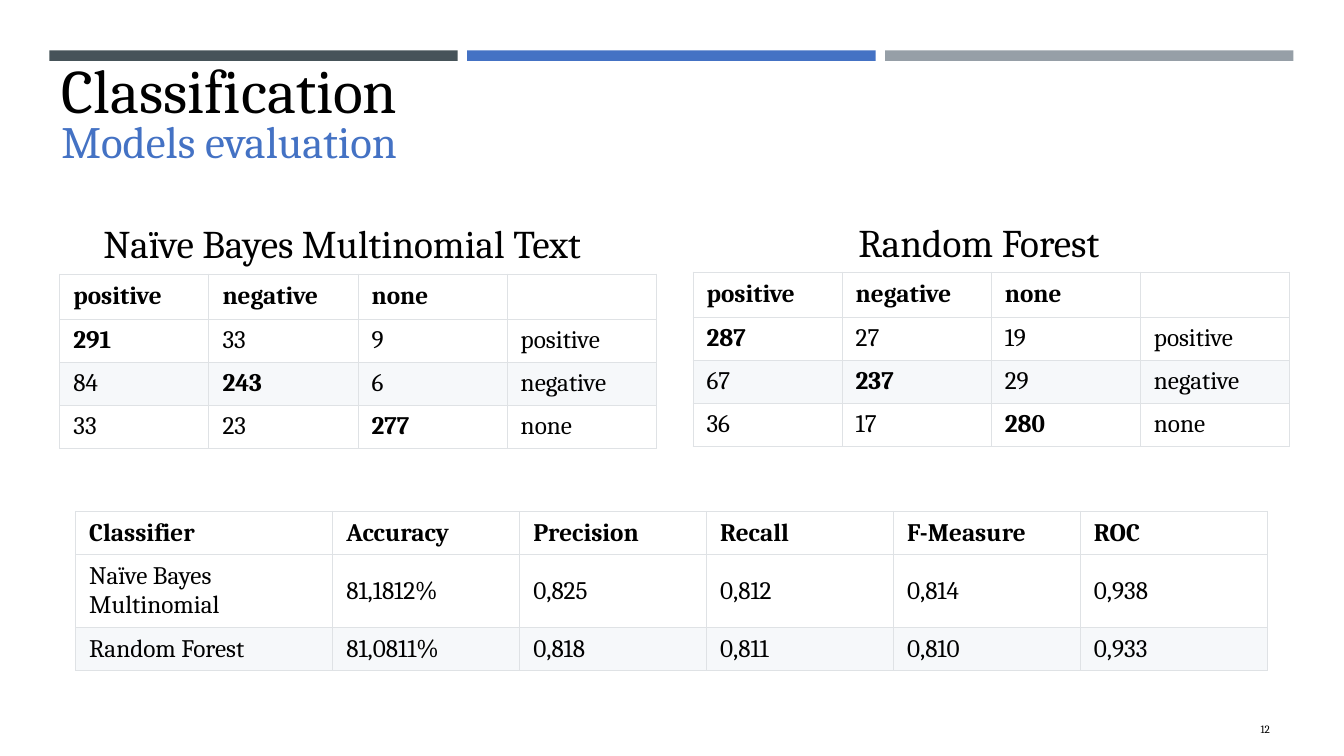
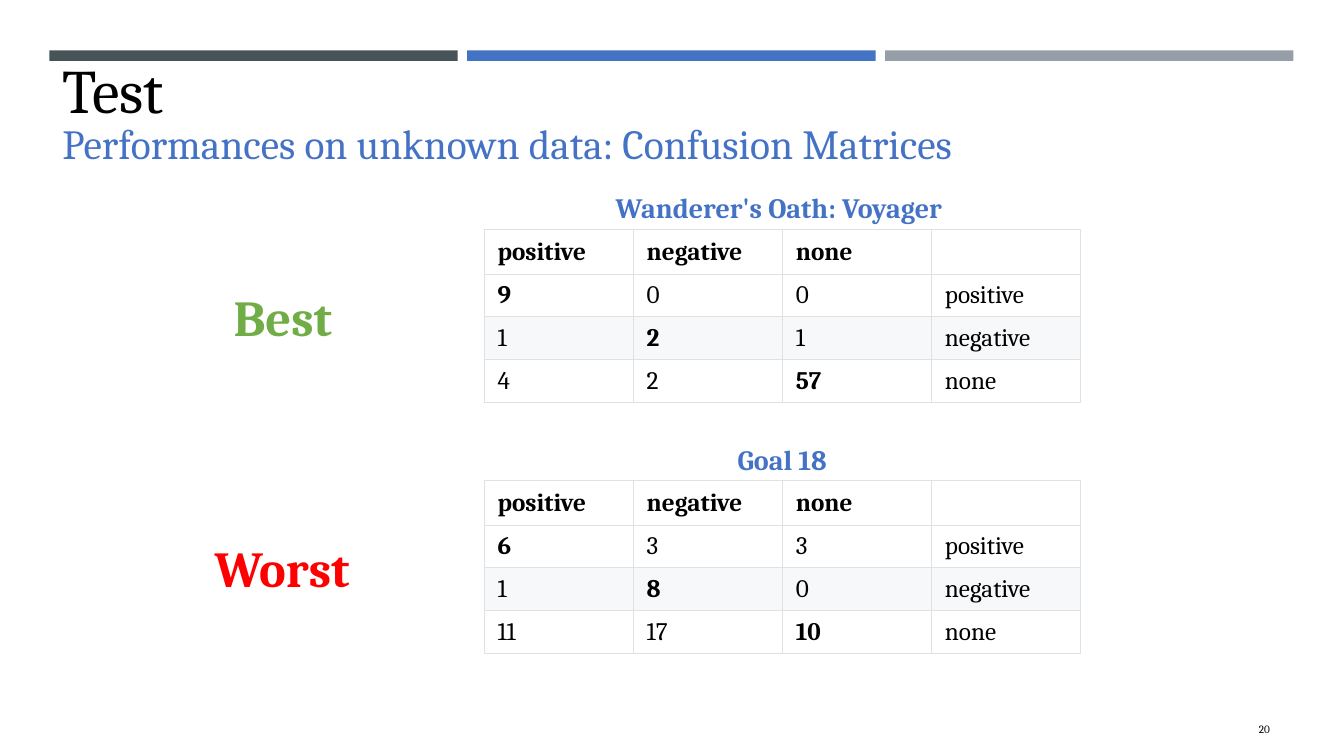
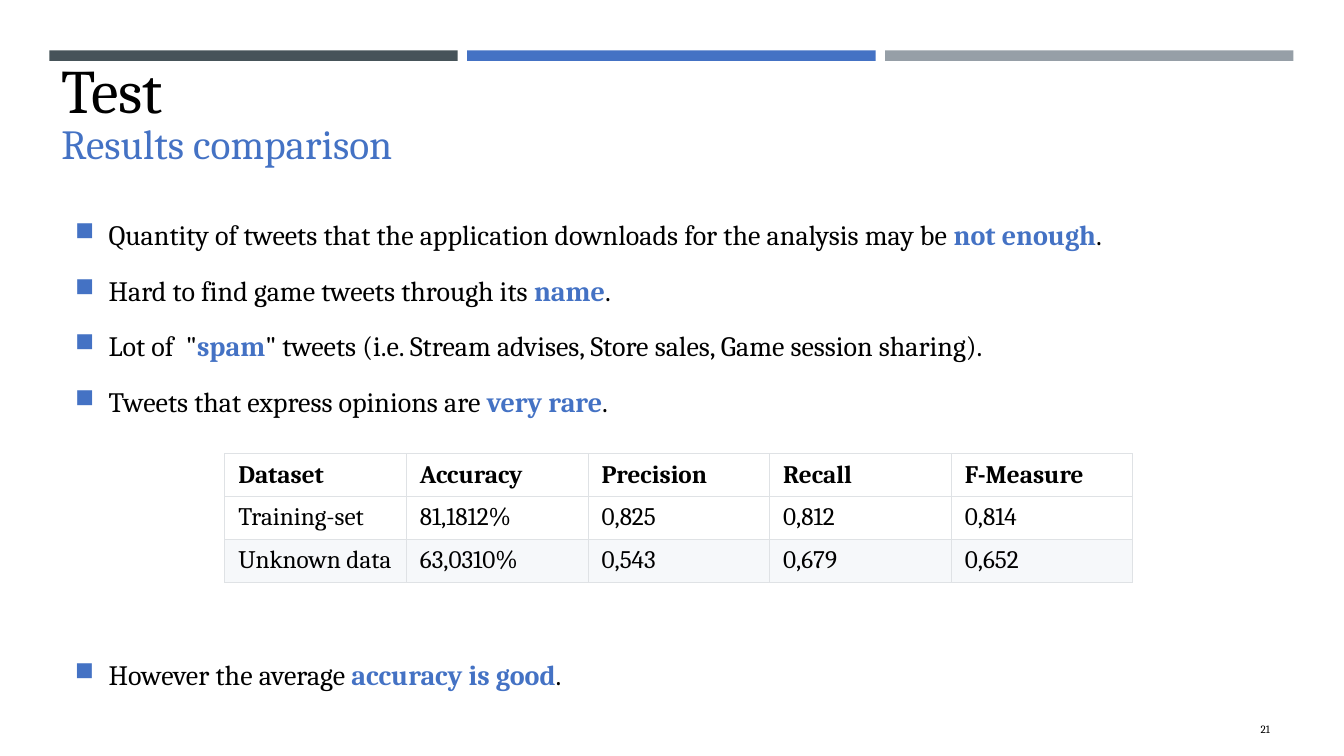
"""Build three slides on how well the tweet models perform."""
from dataclasses import dataclass
from typing import NamedTuple

from lxml.etree import SubElement
from pptx import Presentation
from pptx.dml.color import RGBColor
from pptx.enum.shapes import MSO_SHAPE
from pptx.enum.text import MSO_ANCHOR, MSO_AUTO_SIZE, PP_ALIGN
from pptx.oxml.ns import qn
from pptx.slide import Slide
from pptx.text.text import TextFrame
from pptx.util import Pt

PX = 9525
FONT = "Cambria"
BLACK = RGBColor(0x00, 0x00, 0x00)
WHITE = RGBColor(0xFF, 0xFF, 0xFF)
SLATE = RGBColor(0x46, 0x53, 0x59)
BLUE = RGBColor(0x44, 0x72, 0xC4)
GREY = RGBColor(0x96, 0x9F, 0xA7)
STRIPE = RGBColor(0xF6, 0xF8, 0xFA)
BORDER = RGBColor(0xDF, 0xE2, 0xE5)
GREEN = RGBColor(0x70, 0xAD, 0x47)
RED = RGBColor(0xFF, 0x00, 0x00)


class Box(NamedTuple):
    left: int
    top: int
    width: int
    height: int

    def emu(self) -> tuple[int, ...]:
        return tuple(side * PX for side in self)


class Style(NamedTuple):
    size: float
    color: RGBColor = BLACK
    bold: bool = False


class Point(NamedTuple):
    before: str
    key: str
    after: str = "."


@dataclass
class Head:
    title: str
    detail: str
    page: str
    left: int = 49
    size: float = 29.6


@dataclass
class Label:
    text: str
    box: Box
    style: Style


@dataclass
class Grid:
    left: int
    top: int
    widths: list[int]
    heights: list[int]
    rows: list[list[str]]
    cross: bool = False


def add_run(para, text: str, style: Style) -> None:
    run = para.add_run()
    run.text = text
    font = run.font
    font.name, font.size, font.bold = FONT, Pt(style.size), style.bold
    font.color.rgb = style.color


def add_frame(slide: Slide, box: Box, anchor=MSO_ANCHOR.TOP) -> TextFrame:
    frame = slide.shapes.add_textbox(*box.emu()).text_frame
    frame.word_wrap = True
    frame.vertical_anchor = anchor
    return frame


def add_line(slide: Slide, box: Box, text: str, style: Style, space: float) -> None:
    para = add_frame(slide, box, MSO_ANCHOR.BOTTOM).paragraphs[0]
    para.line_spacing = space
    add_run(para, text, style)


def add_label(slide: Slide, label: Label) -> None:
    frame = add_frame(slide, label.box)
    frame.word_wrap = False
    frame.auto_size = MSO_AUTO_SIZE.SHAPE_TO_FIT_TEXT
    add_run(frame.paragraphs[0], label.text, label.style)


def add_slide(deck, head: Head) -> Slide:
    slide = deck.slides.add_slide(deck.slide_layouts[6])
    for i, color in enumerate((SLATE, BLUE, GREY)):
        bar = slide.shapes.add_shape(MSO_SHAPE.RECTANGLE, *Box(47 + 398 * i, 48, 389, 10).emu())
        bar.shadow.inherit = False
        bar.fill.solid()
        bar.fill.fore_color.rgb = color
        bar.line.fill.background()
    add_line(slide, Box(head.left, 91, 925, 74), head.detail, Style(head.size, BLUE), 0.9)
    add_line(slide, Box(head.left, 60, 472, 63), head.title, Style(44.1), 0.7)
    para = add_frame(slide, Box(1109, 675, 110, 38), MSO_ANCHOR.MIDDLE).paragraphs[0]
    para.alignment = PP_ALIGN.RIGHT
    add_run(para, head.page, Style(8))
    return slide


def add_edges(cell) -> None:
    props = cell._tc.get_or_add_tcPr()
    for side in ("a:lnL", "a:lnR", "a:lnT", "a:lnB"):
        edge = SubElement(props, qn(side), w=str(Pt(0.75)))
        fill = SubElement(edge, qn("a:solidFill"))
        SubElement(fill, qn("a:srgbClr"), val=str(BORDER))


def add_grid(slide: Slide, grid: Grid) -> None:
    box = Box(grid.left, grid.top, sum(grid.widths), sum(grid.heights))
    table = slide.shapes.add_table(len(grid.heights), len(grid.widths), *box.emu()).table
    for col, width in zip(table.columns, grid.widths):
        col.width = width * PX
    for row, height in zip(table.rows, grid.heights):
        row.height = height * PX
    for r, texts in enumerate(grid.rows):
        for c, text in enumerate(texts):
            cell = table.cell(r, c)
            add_edges(cell)
            cell.fill.solid()
            cell.fill.fore_color.rgb = STRIPE if r == 2 else WHITE
            cell.vertical_anchor = MSO_ANCHOR.MIDDLE
            cell.margin_left = cell.margin_right = 13 * PX
            cell.margin_top = cell.margin_bottom = 6 * PX
            if text:
                bold = r == 0 or (grid.cross and c == r - 1)
                add_run(cell.text_frame.paragraphs[0], text, Style(18, bold=bold))


def add_cross(slide: Slide, left: int, top: int, counts: list[list[int]], first: int, rest: int) -> None:
    names = ["positive", "negative", "none"]
    rows = [names + [""]]
    rows += [[str(n) for n in line] + [name] for line, name in zip(counts, names)]
    add_grid(slide, Grid(left, top, [142] * 4, [first] + [rest] * 3, rows, True))


def add_points(slide: Slide, box: Box, points: list[Point]) -> None:
    frame = add_frame(slide, box, MSO_ANCHOR.MIDDLE)
    for i, point in enumerate(points):
        para = frame.add_paragraph() if i else frame.paragraphs[0]
        props = para._p.get_or_add_pPr()
        props.set("marL", str(32 * PX))
        props.set("indent", str(-32 * PX))
        SubElement(SubElement(props, qn("a:buClr")), qn("a:srgbClr"), val=str(BLUE))
        SubElement(props, qn("a:buSzPct"), val="92000")
        SubElement(props, qn("a:buChar"), char="■")
        para.line_spacing = 1.2
        para.space_before = Pt(5 if i else 0)
        para.space_after = Pt(6)
        add_run(para, point.before, Style(20))
        add_run(para, point.key, Style(20, BLUE, True))
        add_run(para, point.after, Style(20))


def add_models(deck) -> None:
    slide = add_slide(deck, Head("Classification", "Models evaluation", "12", size=32))
    add_label(slide, Label("Naïve Bayes Multinomial Text", Box(89, 204, 492, 55), Style(28)))
    add_label(slide, Label("Random Forest", Box(808, 203, 263, 55), Style(28)))
    add_cross(slide, 57, 261, [[291, 33, 9], [84, 243, 6], [33, 23, 277]], 43, 41)
    add_cross(slide, 660, 259, [[287, 27, 19], [67, 237, 29], [36, 17, 280]], 43, 41)
    add_grid(slide, Grid(72, 487, [245] + [178] * 5, [41, 69, 41], [
        ["Classifier", "Accuracy", "Precision", "Recall", "F-Measure", "ROC"],
        ["Naïve Bayes Multinomial", "81,1812%", "0,825", "0,812", "0,814", "0,938"],
        ["Random Forest", "81,0811%", "0,818", "0,811", "0,810", "0,933"],
    ]))


def add_tests(deck) -> None:
    slide = add_slide(deck, Head("Test", "Performances on unknown data: Confusion Matrices", "20", 50))
    add_cross(slide, 461, 219, [[9, 0, 0], [1, 2, 1], [4, 2, 57]], 42, 40)
    add_cross(slide, 461, 458, [[6, 3, 3], [1, 8, 0], [11, 17, 10]], 42, 40)
    game = Style(20, BLUE, True)
    for label in (
        Label("Wanderer's Oath: Voyager", Box(577, 177, 336, 42), game),
        Label("Goal 18", Box(693, 417, 104, 42), game),
        Label("Best", Box(213, 268, 117, 68), Style(36, GREEN, True)),
        Label("Worst", Box(195, 507, 153, 68), Style(36, RED, True)),
    ):
        add_label(slide, label)


def add_results(deck) -> None:
    slide = add_slide(deck, Head("Test", "Results comparison", "21"))
    add_grid(slide, Grid(214, 432, [173] * 5, [40] * 3, [
        ["Dataset", "Accuracy", "Precision", "Recall", "F-Measure"],
        ["Training-set", "81,1812%", "0,825", "0,812", "0,814"],
        ["Unknown data", "63,0310%", "0,543", "0,679", "0,652"],
    ]))
    add_points(slide, Box(62, 176, 1155, 247), [
        Point("Quantity of tweets that the application downloads for the analysis may be ", "not enough"),
        Point("Hard to find game tweets through its ", "name"),
        Point("Lot of  \"", "spam", "\" tweets (i.e. Stream advises, Store sales, Game session sharing)."),
        Point("Tweets that express opinions are ", "very rare"),
    ])
    add_points(slide, Box(62, 600, 1009, 78), [Point("However the average ", "accuracy is good")])


def main() -> None:
    deck = Presentation()
    deck.slide_width, deck.slide_height = 1280 * PX, 720 * PX
    add_models(deck)
    add_tests(deck)
    add_results(deck)
    deck.save("out.pptx")


if __name__ == "__main__":
    main()
